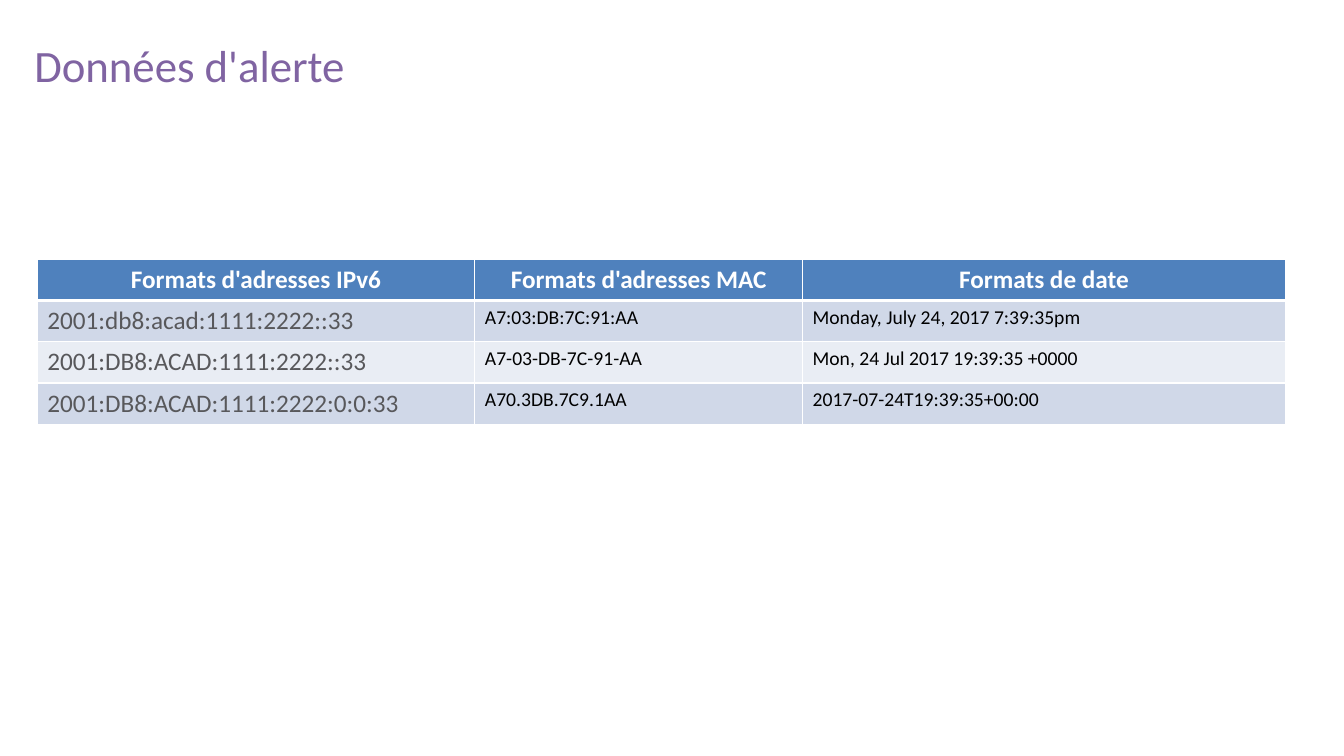
from lxml.etree import SubElement
from pptx import Presentation
from pptx.dml.color import RGBColor as Color
from pptx.enum.text import MSO_ANCHOR as Anchor, PP_ALIGN as Align
from pptx.oxml.ns import qn
from pptx.util import Inches, Pt

FONT = "Calibri"
COLORS = {
    "title": "8064A2", "header": "4F81BD", "band_dark": "D0D8E8", "band_light": "E9EDF4",
    "white": "FFFFFF", "grey": "58585B", "black": "000000",
}
COLUMN_WIDTHS = (4.34, 3.25, 4.79)
ROW_HEIGHT = 0.41
ALERT_ROWS = (
    ("Formats d'adresses IPv6", "Formats d'adresses MAC", "Formats de date"),
    ("2001:db8:acad:1111:2222::33", "A7:03:DB:7C:91:AA", "Monday, July 24, 2017 7:39:35pm"),
    ("2001:DB8:ACAD:1111:2222::33", "A7-03-DB-7C-91-AA", "Mon, 24 Jul 2017 19:39:35 +0000"),
    ("2001:DB8:ACAD:1111:2222:0:0:33", "A70.3DB.7C9.1AA", "2017-07-24T19:39:35+00:00"),
)


def write_text(paragraph, text, color, size, bold=False, align=Align.LEFT):
    paragraph.alignment = align
    run = paragraph.add_run()
    run.text = text
    for name, value in {"name": FONT, "size": Pt(size), "bold": bold}.items():
        setattr(run.font, name, value)
    run.font.color.rgb = Color.from_string(COLORS[color])


def add_title(slide, text, left, top, width, height):
    frame = slide.shapes.add_textbox(*map(Inches, (left, top, width, height))).text_frame
    frame_format = {
        "word_wrap": True, "vertical_anchor": Anchor.MIDDLE,
        "margin_left": Inches(0.13), "margin_right": Inches(0.13),
        "margin_top": Inches(0.07), "margin_bottom": Inches(0.07),
    }
    for name, value in frame_format.items():
        setattr(frame, name, value)
    write_text(frame.paragraphs[0], text, "title", 32)


def set_borders(cell, widths):
    properties = cell._tc.get_or_add_tcPr()
    for position, (side, width) in enumerate(widths.items()):
        line = properties.makeelement(qn(f"a:{side}"), {"w": str(Pt(width))})
        fill = SubElement(line, qn("a:solidFill"))
        SubElement(fill, qn("a:srgbClr"), val=COLORS["white"])
        properties.insert(position, line)  # borders come before the fill


def format_cell(cell, text, row, column):
    # Header row, then alternating bands
    if row == 0:
        fill, text_format = "header", ("white", 18, True, Align.CENTER)
    else:
        fill = "band_dark" if row % 2 else "band_light"
        text_format = ("grey", 18) if column == 0 else ("black", 14)
    cell.fill.solid()
    cell.fill.fore_color.rgb = Color.from_string(COLORS[fill])
    write_text(cell.text_frame.paragraphs[0], text, *text_format)
    set_borders(cell, {"lnL": 1, "lnR": 1, "lnT": 3 if row == 1 else 1,
                       "lnB": 3 if row == 0 else 1})


def add_alert_table(slide, left, top):
    size = (sum(COLUMN_WIDTHS), ROW_HEIGHT * len(ALERT_ROWS))
    table = slide.shapes.add_table(
        len(ALERT_ROWS), len(COLUMN_WIDTHS), *map(Inches, (left, top, *size))).table
    for column, width in zip(table.columns, COLUMN_WIDTHS):
        column.width = Inches(width)
    for row, texts in enumerate(ALERT_ROWS):
        table.rows[row].height = Inches(ROW_HEIGHT)
        for column, text in enumerate(texts):
            format_cell(table.cell(row, column), text, row, column)


def main():
    presentation = Presentation()
    presentation.slide_width = Inches(13.33)
    presentation.slide_height = Inches(7.5)
    slide = presentation.slides.add_slide(presentation.slide_layouts[6])
    add_title(slide, "Données d'alerte", 0.21, 0.09, 13.12, 1.1)
    add_alert_table(slide, 0.37, 2.57)
    presentation.save("out.pptx")


if __name__ == "__main__":
    main()
